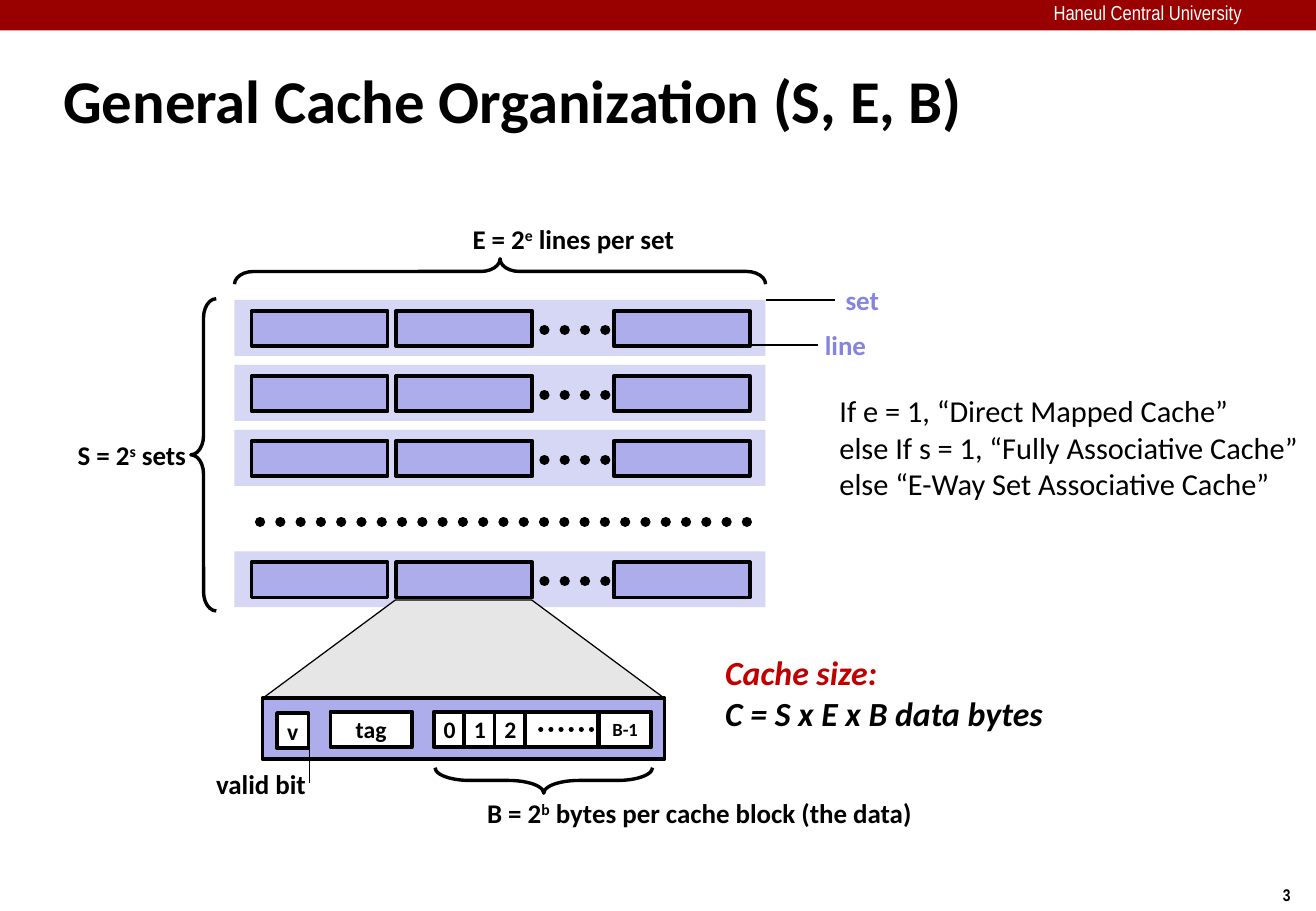
from lxml import etree
from pptx import Presentation
from pptx.dml.color import RGBColor
from pptx.enum.dml import MSO_LINE
from pptx.enum.shapes import MSO_CONNECTOR, MSO_SHAPE
from pptx.enum.text import MSO_ANCHOR, MSO_AUTO_SIZE, PP_ALIGN
from pptx.oxml.ns import qn
from pptx.util import Inches, Pt

RECTANGLE, BRACE, TRAPEZOID = MSO_SHAPE.RECTANGLE, MSO_SHAPE.LEFT_BRACE, MSO_SHAPE.TRAPEZOID
STRAIGHT, DOTS = MSO_CONNECTOR.STRAIGHT, MSO_LINE.ROUND_DOT
LEFT, CENTER = PP_ALIGN.LEFT, PP_ALIGN.CENTER
TOP, MIDDLE = MSO_ANCHOR.TOP, MSO_ANCHOR.MIDDLE
FIXED = MSO_AUTO_SIZE.NONE

# The page is a grid of square cells, 108.3 columns by 75 rows.
CELL = 0.1
COLUMNS, ROWS = 108.3, 75

BLACK, WHITE, RED, CRIMSON = "000000", "FFFFFF", "990000", "C00000"
SET_FILL, LINE_FILL, LABEL, ZOOM_FILL = "D6D6F5", "ADADEB", "8585E0", "E6E6E6"
THIN, BRACE_WIDTH, THICK = 0.75, 2, 2.25

SET_LEFT, SET_WIDTH, SET_HEIGHT = 19.3, 43.7, 4.6
SET_TOP, SET_PITCH = 24.7, 5.35
SET_TOPS = [SET_TOP + SET_PITCH * index for index in range(3)] + [45.4]
LINE_OFFSETS = (1.4, 13.3, 31.2)
LINE_WIDTH, LINE_HEIGHT = 11.2, 2.9
BLOCK_LEFT, BLOCK_TOP, BLOCK_WIDTH = 21.6, 57.5, 33.1
FIELD_TOP, BYTE_LEFT, BYTE_PITCH = 58.6, 35.7, 2.5


def grid(*cells):
    return [Inches(cell * CELL) for cell in cells]


def color(code):
    return RGBColor.from_string(code)


def set_values(target, values):
    for name, value in values.items():
        setattr(target, name, value)


def write(frame, paragraphs, size, colors=(BLACK,), font="Calibri", bold=True,
          italic=False, wrap=False, align=LEFT, anchor=TOP, margin=None):
    """Fill a text frame; text between two ^ marks is superscript."""
    set_values(frame, {"word_wrap": wrap, "vertical_anchor": anchor, "auto_size": FIXED})
    if margin is not None:
        sides = ("left", "top", "right", "bottom")
        set_values(frame, {f"margin_{side}": margin for side in sides})
    for index, text in enumerate(paragraphs):
        para = frame.add_paragraph() if index else frame.paragraphs[0]
        para.alignment = align
        for position, part in enumerate(text.split("^")):
            span = para.add_run()
            span.text = part
            set_values(span.font, {"name": font, "size": Pt(size), "bold": bold, "italic": italic})
            span.font.color.rgb = color(colors[min(index, len(colors) - 1)])
            if position % 2:
                span.font._element.set("baseline", "30000")


def add_text(page, place, paragraphs, size=16, **style):
    box = page.shapes.add_textbox(*grid(*place))
    write(box.text_frame, paragraphs, size, **style)


def add_figure(page, kind, place, fill=None, width=None, rotation=0, adjustments=()):
    figure = page.shapes.add_shape(kind, *grid(*place))
    figure.shadow.inherit = False
    figure.rotation = rotation
    for index, value in enumerate(adjustments):
        figure.adjustments[index] = value
    if fill:
        figure.fill.solid()
        figure.fill.fore_color.rgb = color(fill)
    else:
        figure.fill.background()
    if width:
        figure.line.width = Pt(width)
        figure.line.color.rgb = color(BLACK)
    else:
        figure.line.fill.background()
    return figure


def add_field(page, place, label, size=14):
    field = add_figure(page, RECTANGLE, place, WHITE, THICK)
    write(field.text_frame, [label], size, align=CENTER, anchor=MIDDLE)


def add_stroke(page, start, end, width=THIN, dotted=False):
    stroke = page.shapes.add_connector(STRAIGHT, *grid(*start, *end))
    stroke.line.width = Pt(width)
    stroke.line.color.rgb = color(BLACK)
    properties = stroke._element.spPr
    if dotted:
        stroke.line.dash_style = DOTS
        properties.find(qn("a:ln")).set("cap", "rnd")
    etree.SubElement(properties, qn("a:effectLst"))


def add_frame(page):
    """Add the top band, the title and the page number."""
    add_figure(page, RECTANGLE, (0, 0, COLUMNS, 2.5), RED)
    add_text(page, (104.6, 72.3, 3.4, 2.7), ["3"], 10, font="Arial Narrow")
    add_text(page, (86.7, 0, 21.8, 2.2), ["Haneul Central University"], 12,
             colors=(WHITE,), font="Arial Narrow", bold=False, wrap=True, margin=0)
    title = page.shapes.title
    set_values(title, dict(zip(("left", "top", "width", "height"), grid(4.2, 4, 89.9, 8.3))))
    write(title.text_frame, ["General Cache Organization (S, E, B)"], 36,
          wrap=True, anchor=MIDDLE)


def add_cache_set(page, top):
    add_figure(page, RECTANGLE, (SET_LEFT, top, SET_WIDTH, SET_HEIGHT), SET_FILL)
    add_stroke(page, (SET_LEFT + 25.5, top + 2.45), (SET_LEFT + 31.2, top + 2.45), 6, True)
    for offset in LINE_OFFSETS:
        place = (SET_LEFT + offset, top + 0.9, LINE_WIDTH, LINE_HEIGHT)
        add_figure(page, RECTANGLE, place, LINE_FILL, THICK)


def add_cache(page):
    for top in SET_TOPS:
        add_cache_set(page, top)
    add_stroke(page, (21.4, 42.95), (61.6, 42.95), 6, True)
    add_figure(page, BRACE, (40.1, 0.5, 2.1, SET_WIDTH), width=BRACE_WIDTH,
               rotation=90, adjustments=(0.75, 0.5))
    add_figure(page, BRACE, (15.7, 24.6, 2.1, 25.7), width=BRACE_WIDTH, adjustments=(0.75, 0.5))
    add_text(page, (37.9, 17.8, 18.9, 3.7), ["E = 2^e^ lines per set"])
    add_text(page, (5.4, 35.6, 11.1, 3.7), ["S = 2^s^ sets"])
    for label, left, row, text_left, width in (("set", 63, 24.7, 68.6, 4.8),
                                               ("line", 61.6, 28.4, 66.9, 5.4)):
        add_stroke(page, (left, row), (left + 5.7, row))
        add_text(page, (text_left, row - 1.85, width, 3.7), [label], colors=(LABEL,))


def add_block(page):
    """Add one cache line enlarged, with its valid bit, tag and bytes."""
    add_figure(page, TRAPEZOID, (BLOCK_LEFT, 49.4, BLOCK_WIDTH, 8.1), ZOOM_FILL, THIN,
               adjustments=(1.35,))
    add_figure(page, RECTANGLE, (BLOCK_LEFT, BLOCK_TOP, BLOCK_WIDTH, 5), LINE_FILL, THICK)
    for index in range(3):
        left = BYTE_LEFT + BYTE_PITCH * index
        add_field(page, (left, FIELD_TOP, 2.6, LINE_HEIGHT), str(index))
    add_field(page, (49.3, FIELD_TOP, 4.3, LINE_HEIGHT), "B-1", 11)
    add_figure(page, RECTANGLE, (43.2, FIELD_TOP, 6, LINE_HEIGHT), WHITE, THICK)
    add_stroke(page, (44.5, 60.05), (48.8, 60.05), 3, True)
    add_field(page, (27.2, FIELD_TOP, 6.7, LINE_HEIGHT), "tag")
    add_field(page, (22.8, FIELD_TOP + 0.1, 2.6, LINE_HEIGHT), "v")
    add_figure(page, BRACE, (43.7, 55.3, 2.1, 17.9), width=BRACE_WIDTH,
               rotation=270, adjustments=(1.37, 0.5))
    add_text(page, (39.1, 65.1, 37.5, 3.7), ["B = 2^b^ bytes per cache block (the data)"])
    add_text(page, (16.8, 62.7, 9.5, 3.7), ["valid bit"])
    add_stroke(page, (25.5, 64.5), (25.5, 61.6))


def add_remarks(page):
    add_text(page, (58.7, 53.2, 28.3, 7.7), ["Cache size:", "C = S x E x B data bytes"], 20,
             colors=(CRIMSON, BLACK), italic=True)
    add_text(page, (68.1, 31.8, 40.2, 10.1),
             ["If e = 1, “Direct Mapped Cache”",
              "else If s = 1, “Fully Associative Cache”",
              "else “E-Way Set Associative Cache”"], 18, bold=False, wrap=True)


def main():
    deck = Presentation()
    deck.slide_width, deck.slide_height = grid(COLUMNS, ROWS)
    page = deck.slides.add_slide(deck.slide_layouts.get_by_name("Title Only"))
    add_frame(page)
    add_cache(page)
    add_block(page)
    add_remarks(page)
    deck.save("out.pptx")


if __name__ == "__main__":
    main()
